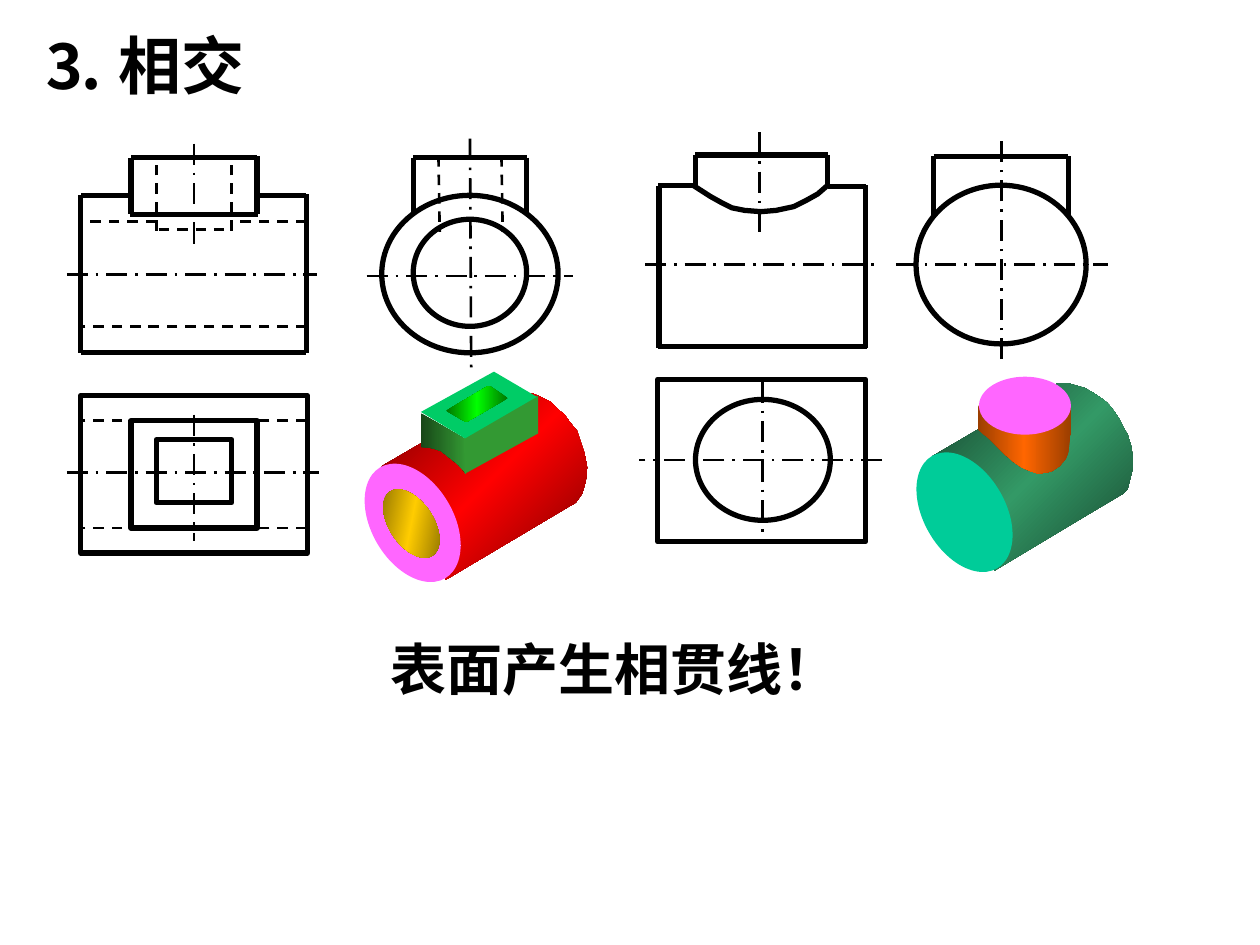
from lxml.etree import SubElement
from pptx import Presentation
from pptx.dml.color import RGBColor
from pptx.enum.dml import MSO_LINE
from pptx.enum.shapes import MSO_CONNECTOR, MSO_SHAPE
from pptx.enum.text import MSO_ANCHOR, MSO_AUTO_SIZE, PP_ALIGN
from pptx.oxml import parse_xml
from pptx.oxml.ns import nsdecls, qn
from pptx.util import Inches, Pt

HUES = {
    "ink": "000000", "pink": "FF66FF", "mint": "00CC99", "lid": "00CC66",
    "leaf": "339933", "moss": "184718", "red": "FF0000", "wine": "760000",
    "lime": "00FF00", "pine": "007600", "gold": "FFCC00", "brown": "765E00",
    "teal": "339966", "dusk": "16422C", "flame": "FF6600", "rust": "9B3E00",
}
PENS = {
    "edge": (3, MSO_LINE.SOLID),
    "dash": (1.5, MSO_LINE.DASH),
    "axis": (1.5, MSO_LINE.LONG_DASH_DOT),
}
FRAME = {
    "word_wrap": False, "auto_size": MSO_AUTO_SIZE.SHAPE_TO_FIT_TEXT,
    "vertical_anchor": MSO_ANCHOR.TOP,
    "margin_left": Inches(0.1), "margin_right": Inches(0.1),
    "margin_top": Inches(0.05), "margin_bottom": Inches(0.05),
}


def apply(item, values):
    """Set each named value on the item."""
    for name, value in values.items():
        setattr(item, name, value)


def ink(line, pen):
    """Give a line the width and dash of a pen."""
    width, dash = PENS[pen]
    line.color.rgb = RGBColor.from_string(HUES["ink"])
    apply(line, {"width": Pt(width), "dash_style": dash})


def write(shape, box, text, size):
    """Place one line of bold text in a box."""
    apply(shape, dict(zip(("left", "top", "width", "height"), map(Inches, box))))
    frame = shape.text_frame
    frame.text = text
    apply(frame, FRAME)
    para = frame.paragraphs[0]
    para.alignment = PP_ALIGN.LEFT
    font = para.runs[0].font
    apply(font, {"name": "Times New Roman", "size": Pt(size), "bold": True})
    font.color.rgb = RGBColor.from_string(HUES["ink"])


def rule(shapes, box, pen, *ends):
    """Draw straight lines, each given as x1, y1, x2, y2 in the box."""
    left, top = box
    for x1, y1, x2, y2 in ends:
        line = shapes.add_connector(
            MSO_CONNECTOR.STRAIGHT, Inches(left + x1), Inches(top + y1),
            Inches(left + x2), Inches(top + y2))
        ink(line.line, pen)
        SubElement(line._element.spPr, qn("a:effectLst"))


def paint(shape, hues, angle=0):
    """Fill a shape with one hue, or with a gradient of evenly set hues."""
    shape.shadow.inherit = False
    shape.line.fill.background()
    if len(hues) == 1:
        shape.fill.solid()
        shape.fill.fore_color.rgb = RGBColor.from_string(HUES[hues[0]])
        return
    step = 100000 // (len(hues) - 1)
    stops = "".join(
        f'<a:gs pos="{i * step}"><a:srgbClr val="{HUES[hue]}"/></a:gs>'
        for i, hue in enumerate(hues))
    grad = parse_xml(
        f'<a:gradFill {nsdecls("a")} rotWithShape="1"><a:gsLst>{stops}</a:gsLst>'
        f'<a:lin ang="{angle * 60000}" scaled="1"/></a:gradFill>')
    shape._element.spPr.find(qn("a:ln")).addprevious(grad)


def form(shapes, box, kind, x, y, width, height):
    """Add a preset shape at a place in the box."""
    return shapes.add_shape(kind, Inches(box[0] + x), Inches(box[1] + y),
                            Inches(width), Inches(height))


def ring(shapes, box, kind, *sizes):
    """Outline preset shapes with the edge pen."""
    for size in sizes:
        shape = form(shapes, box, kind, *size)
        shape.shadow.inherit = False
        shape.fill.background()
        ink(shape.line, "edge")


def disc(shapes, box, size, hues, turn=0, angle=0):
    """Add a filled, turned ellipse."""
    shape = form(shapes, box, MSO_SHAPE.OVAL, *size)
    shape.rotation = turn
    paint(shape, hues, angle)


def trace(shapes, box, points, close=True):
    """Build an outline through points in the box."""
    spots = [(Inches(box[0] + x), Inches(box[1] + y)) for x, y in points]
    path = shapes.build_freeform(*spots[0])
    path.add_line_segments(spots[1:], close=close)
    return path.convert_to_shape()


def pipe_front(shapes, box):
    """Front view of the hollow pipe with a square boss."""
    rule(shapes, box, "axis", (0.53, 1.18, 2.52, 1.18), (1.54, 0.14, 1.54, 0.94))
    rule(shapes, box, "dash", (2.43, 0.76, 1.83, 0.76), (1.24, 0.76, 0.64, 0.76),
         (2.43, 1.59, 0.64, 1.59), (1.26, 0.82, 1.83, 0.82),
         *((x, 0.83, x, 0.24) for x in (1.24, 1.84)))
    rule(shapes, box, "edge", (1.03, 0.7, 2.05, 0.7), (1.04, 0.25, 2.04, 0.25),
         (1.04, 0.25, 1.04, 0.7), (2.04, 0.24, 2.04, 0.7),
         (0.64, 0.55, 0.64, 1.8), (0.64, 1.8, 2.43, 1.8), (2.43, 1.8, 2.43, 0.54),
         (2.43, 0.55, 2.03, 0.55), (1.03, 0.55, 0.64, 0.55))


def pipe_side(shapes, box):
    """Side view of the hollow pipe."""
    rule(shapes, box, "axis", (0.91, 1.19, 2.55, 1.19), (1.73, 0.1, 1.74, 1.94))
    ring(shapes, box, MSO_SHAPE.OVAL, (1.03, 0.55, 1.4, 1.25), (1.28, 0.74, 0.9, 0.85))
    rule(shapes, box, "edge", (1.28, 0.25, 2.18, 0.25),
         *((x, 0.25, x, 0.69) for x in (1.28, 2.18)))
    rule(shapes, box, "dash", *((x, 0.24, x + 0.01, 0.84) for x in (1.48, 1.98)))


def pipe_top(shapes, box):
    """Top view of the hollow pipe."""
    rule(shapes, box, "axis", (0.53, 0.75, 2.53, 0.75), (1.54, 0.29, 1.54, 1.29))
    rule(shapes, box, "dash", *((2.43, y, 0.64, y) for y in (0.34, 1.19)))
    ring(shapes, box, MSO_SHAPE.RECTANGLE, (0.64, 0.14, 1.8, 1.25),
         (1.04, 0.34, 1, 0.85), (1.24, 0.49, 0.6, 0.5))


def pipe_solid(shapes, box):
    """Shaded hollow pipe with a square boss."""
    body = [(1.03, 1.7), (1.34, 1.52), (1.38, 1.5), (1.48, 1.55), (1.55, 1.6),
            (1.67, 1.68), (1.69, 1.75), (2.27, 1.42), (2.27, 1.17), (2.22, 1.12),
            (2.29, 1.15), (2.37, 1.19), (2.43, 1.25), (2.48, 1.29), (2.53, 1.36),
            (2.58, 1.42), (2.61, 1.51), (2.64, 1.6), (2.66, 1.71), (2.65, 1.82),
            (2.62, 1.92), (2.57, 1.99), (2.5, 2.03), (1.54, 2.6), (1.53, 2.49),
            (1.65, 2.41), (1.66, 2.33), (1.65, 2.24), (1.61, 2.14), (1.52, 1.95),
            (1.48, 1.88), (1.42, 1.83), (1.33, 1.77), (1.17, 1.68)]
    left = [(1.34, 1.28), (1.7, 1.49), (1.7, 1.76), (1.64, 1.69), (1.59, 1.65),
            (1.5, 1.58), (1.44, 1.56), (1.39, 1.55), (1.34, 1.55)]
    right = [(1.68, 1.45), (1.69, 1.76), (2.27, 1.44), (2.27, 1.14)]
    lid = [(1.34, 1.27), (1.69, 1.48), (2.26, 1.15), (1.92, 0.95)]
    hole = [(1.54, 1.26), (1.88, 1.06), (2.03, 1.16), (1.7, 1.35)]
    paint(trace(shapes, box, body), ("wine", "red", "wine"), 45)
    disc(shapes, box, (0.95, 1.64, 0.65, 1.02), ("pink",), 329.6)
    for points, hues in ((left, ("moss", "leaf")), (right, ("leaf",)),
                         (lid, ("lid",)), (hole, ("pine", "lime", "pine"))):
        paint(trace(shapes, box, points), hues)
    disc(shapes, box, (1.09, 1.85, 0.35, 0.61), ("brown", "gold", "brown"), 326.1, 45)


def rod_front(shapes, box):
    """Front view of the rod with a round boss and its curve."""
    rule(shapes, box, "axis", (0.12, 1.1, 1.98, 1.1), (1.03, 0.05, 1.03, 0.88))
    rule(shapes, box, "edge", (0.23, 0.48, 0.23, 1.76), (0.22, 1.75, 1.88, 1.75),
         (1.87, 1.76, 1.87, 0.47), (1.57, 0.48, 1.87, 0.48), (0.52, 0.23, 1.57, 0.23),
         (0.51, 0.47, 0.22, 0.47), *((x, 0.23, x, 0.47) for x in (0.52, 1.57)))
    curve = trace(shapes, box, [
        (0.5, 0.47), (0.64, 0.56), (0.73, 0.61), (0.81, 0.65), (0.91, 0.67),
        (1.04, 0.68), (1.16, 0.67), (1.3, 0.64), (1.4, 0.59), (1.49, 0.54),
        (1.57, 0.47)], close=False)
    curve.shadow.inherit = False
    curve.fill.background()
    ink(curve.line, "edge")


def rod_side(shapes, box):
    """Side view of the rod."""
    rule(shapes, box, "axis", (0.11, 1.1, 1.79, 1.1), (0.95, 1.85, 0.95, 0.1))
    rule(shapes, box, "edge", (0.41, 0.24, 1.48, 0.24),
         *((x, 0.24, x, 0.72) for x in (0.41, 1.48)))
    ring(shapes, box, MSO_SHAPE.OVAL, (0.27, 0.47, 1.35, 1.26))


def rod_top(shapes, box):
    """Top view of the rod."""
    ring(shapes, box, MSO_SHAPE.OVAL, (0.52, 0.17, 1.07, 0.96))
    ring(shapes, box, MSO_SHAPE.RECTANGLE, (0.22, 0.01, 1.65, 1.29))
    rule(shapes, box, "axis", (2, 0.65, 0.07, 0.65), (1.05, 0.03, 1.05, 1.25))


def rod_solid(shapes, box):
    """Shaded rod with a round boss."""
    body = [(0.4, 1.62), (0.76, 1.41), (0.92, 1.49), (1, 1.62), (1.14, 1.68),
            (1.28, 1.71), (1.41, 1.7), (1.47, 1.52), (1.49, 1.31), (1.46, 1.19),
            (1.42, 1.12), (1.36, 1.06), (1.4, 1.04), (1.47, 1.04), (1.54, 1.06),
            (1.61, 1.08), (1.68, 1.12), (1.74, 1.16), (1.79, 1.2), (1.84, 1.26),
            (1.88, 1.32), (1.92, 1.4), (1.95, 1.45), (1.98, 1.55), (1.99, 1.63),
            (1.99, 1.72), (1.97, 1.8), (1.95, 1.88), (1.91, 1.92), (1.49, 2.17),
            (0.89, 2.53), (0.95, 2.43), (1, 2.34), (1.02, 2.19), (0.98, 2.06),
            (0.88, 1.85), (0.72, 1.7), (0.58, 1.63), (0.49, 1.61)]
    boss = [(0.76, 1.21), (0.76, 1.41), (0.85, 1.48), (0.98, 1.61), (1.05, 1.67),
            (1.11, 1.71), (1.18, 1.74), (1.24, 1.76), (1.31, 1.75), (1.35, 1.74),
            (1.41, 1.7), (1.46, 1.64), (1.48, 1.59), (1.49, 1.5), (1.5, 1.45),
            (1.5, 1.2), (1.42, 1.34), (1.3, 1.4), (1.16, 1.43), (1, 1.42),
            (0.89, 1.37), (0.8, 1.29)]
    paint(trace(shapes, box, body), ("dusk", "teal", "dusk"), 45)
    disc(shapes, box, (0.33, 1.55, 0.65, 1.03), ("mint",), 330)
    paint(trace(shapes, box, boss), ("rust", "flame", "rust"))
    disc(shapes, box, (0.77, 0.99, 0.73, 0.46), ("pink",))


def main():
    """Build and save the slide."""
    deck = Presentation()
    deck.slide_width, deck.slide_height = Inches(10), Inches(7.5)
    shapes = deck.slides.add_slide(deck.slide_layouts[5]).shapes
    write(shapes.title, (0.23, 0.16, 1.84, 0.7), "⒊ 相交", 36)
    note = shapes.add_textbox(0, 0, 0, 0)
    write(note, (3, 4.99, 3.76, 0.64), "表面产生相贯线！", 32)
    for x, front, side, top, solid in (
            (0, pipe_front, pipe_side, pipe_top, pipe_solid),
            (5, rod_front, rod_side, rod_top, rod_solid)):
        for draw, box in ((front, (x, 1)), (side, (x + 2, 1)),
                          (top, (x, 3)), (solid, (x + 2, 2))):
            draw(shapes, box)
    deck.save("out.pptx")


if __name__ == "__main__":
    main()
